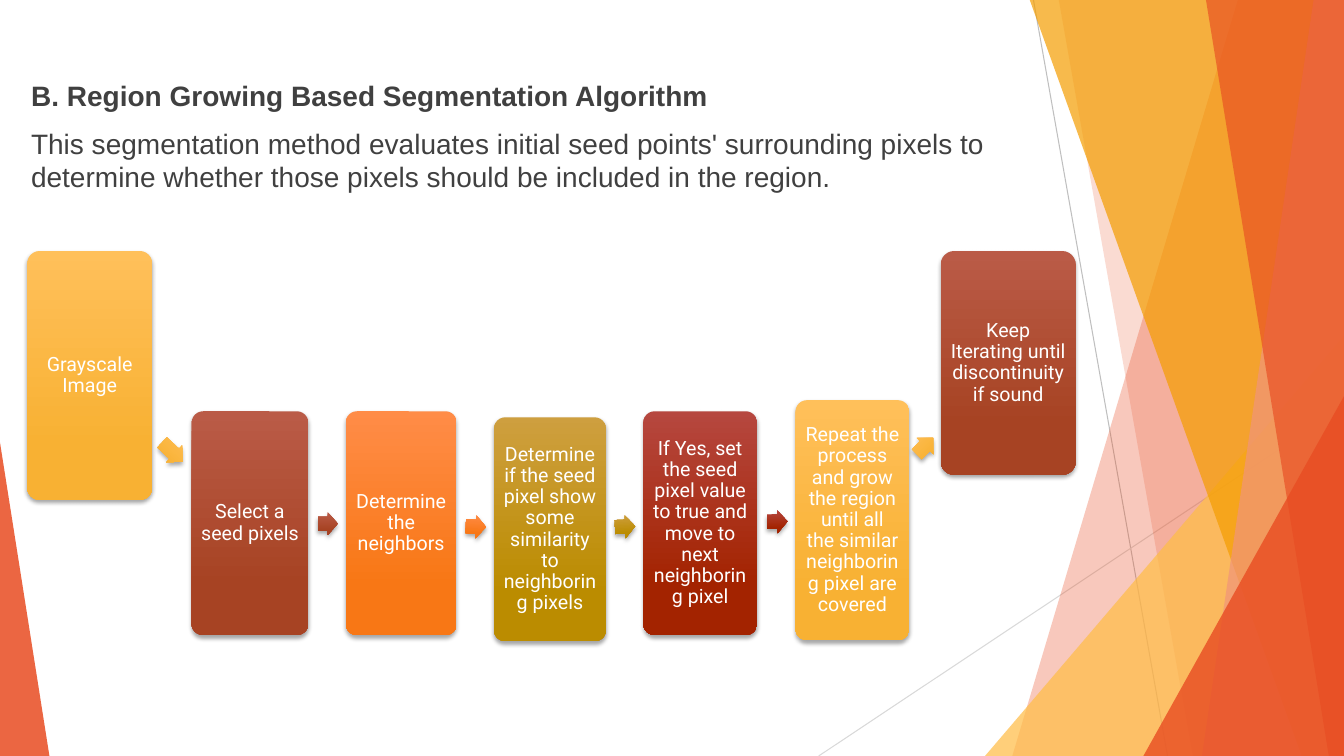
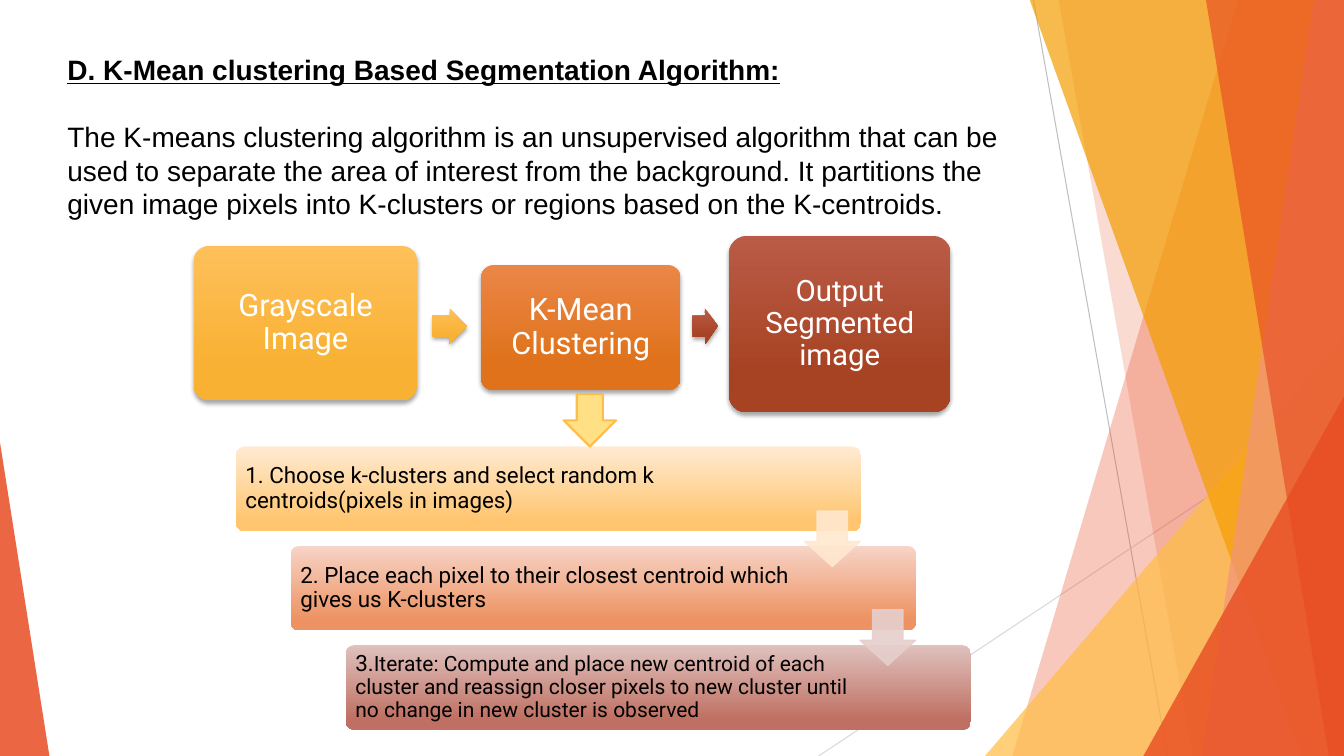
"""Build two slides on image segmentation algorithms."""
from lxml import etree
from pptx import Presentation
from pptx import util as u
from pptx.dml import color
from pptx.enum import shapes, text
from pptx.oxml import ns

Inches, Pt = u.Inches, u.Pt
rgb = color.RGBColor.from_string
SHAPE = shapes.MSO_SHAPE

GRADIENTS = {
    "amber": ("FFC05A", "F8B133"),
    "rust": ("BA5B47", "A74323"),
    "orange": ("FF8C47", "F87715"),
    "gold": ("CE9F3F", "BB8C00"),
    "red": ("B6473F", "A32300"),
    "copper": ("EB8647", "DF721B"),
}


def paint(shape, colours, alpha=100, stop=78, line=None, width=1, shadow=False):
    """Fill a shape with one colour or a vertical gradient, and set its line and shadow."""
    if len(colours) == 1:
        shape.fill.solid()
        shape.fill.fore_color.rgb = rgb(colours[0])
    else:
        shape.fill.gradient()
        shape.fill.gradient_angle = 270
        for gradient_stop, colour, position in zip(shape.fill.gradient_stops, colours, (0, stop)):
            gradient_stop.color.rgb = rgb(colour)
            gradient_stop.position = position / 100
    if line:
        shape.line.color.rgb = rgb(line)
        shape.line.width = Pt(width)
    else:
        shape.line.fill.background()
    properties = shape.element.spPr
    if alpha < 100:
        for node in properties.iter(ns.qn("a:srgbClr")):
            etree.SubElement(node, ns.qn("a:alpha"), val=str(alpha * 1000))
    shape.shadow.inherit = False
    if shadow:
        effects = properties.find(ns.qn("a:effectLst"))
        outer = etree.SubElement(effects, ns.qn("a:outerShdw"), blurRad=str(Pt(3)),
                                 dist=str(Pt(2)), dir="5400000", rotWithShape="0")
        black = etree.SubElement(outer, ns.qn("a:srgbClr"), val="000000")
        etree.SubElement(black, ns.qn("a:alpha"), val="35000")


def write(frame, frame_format, paragraph_format, *paragraphs):
    """Write paragraphs, each a list of (words, font format) runs, into a text frame."""
    for name, value in frame_format.items():
        setattr(frame, name, value)
    for index, runs in enumerate(paragraphs):
        paragraph = frame.add_paragraph() if index else frame.paragraphs[0]
        for name, value in paragraph_format.items():
            setattr(paragraph, name, value)
        for words, font_format in runs:
            run = paragraph.add_run()
            run.text = words
            for name, value in font_format.items():
                if name == "color":
                    run.font.color.rgb = rgb(value)
                else:
                    setattr(run.font, name, value)


presentation = Presentation()
presentation.slide_width = Inches(13.33)
presentation.slide_height = Inches(7.5)
blank = presentation.slide_layouts[6]
region_slide, cluster_slide = [presentation.slides.add_slide(blank) for _ in range(2)]

artwork = []
for start_x, start_y, end_x, end_y, colour in [
    (10.25, 0, 11.58, 7.5, "BFBFBF"),
    (13.33, 4.03, 8.12, 7.5, "D9D9D9"),
]:
    connector = region_slide.shapes.add_connector(
        shapes.MSO_CONNECTOR.STRAIGHT, Inches(start_x), Inches(start_y), Inches(end_x), Inches(end_y))
    connector.line.color.rgb = rgb(colour)
    connector.line.width = Pt(0.75)
    etree.SubElement(connector.element.spPr, ns.qn("a:effectLst"))
    artwork.append(connector)

for outline, colour, alpha in [
    ((12.28, 10.04), "E84C22", 30),
    ((10.5, 11.83), "E84C22", 20),
    ((9.77, 3.33, 3.56, 4.17, 1), "FFBD47", 72),
    ((10.21, 12.91), "F49D00", 70),
    ((13.03, 11.92), "F1947A", 70),
    ((11.96, 13.18), "E84C22", 65),
    ((11.34, 3.93, 1.99, 3.57, 1), "E84C22", 80),
    ((0, 4.39, 0.49, 3.11, 0), "E84C22", 85),
]:
    if len(outline) == 2:
        top_x, bottom_x = outline
        builder = region_slide.shapes.build_freeform(Inches(top_x), Inches(-0.01))
        corners = [(13.33, -0.01), (13.33, 7.5), (bottom_x, 7.5)]
        builder.add_line_segments([(Inches(x), Inches(y)) for x, y in corners])
        shape = builder.convert_to_shape()
    else:
        *box, apex = outline
        shape = region_slide.shapes.add_shape(SHAPE.ISOSCELES_TRIANGLE, *map(Inches, box))
        shape.adjustments[0] = apex
    paint(shape, [colour], alpha)
    artwork.append(shape)

for shape in artwork:
    blank.shapes.element.append(shape.element)

heading = {"name": "Arial", "size": Pt(20), "bold": True, "color": "404040"}
body = {**heading, "bold": False}
textbox = region_slide.shapes.add_textbox(*map(Inches, (0.21, 0.73, 10.23, 6.64)))
write(textbox.text_frame, {"word_wrap": True}, {"space_before": Pt(10)},
      [("B. Region Growing Based Segmentation Algorithm", heading)],
      [("This segmentation method evaluates initial seed points' surrounding pixels to determine "
        "whether those pixels should be included in the region.", body)])

region_cards = [
    ((0.27, 2.49, 1.24, 2.47), "amber", "Grayscale Image", 14),
    ((1.9, 4.08, 1.16, 2.22), "rust", "Select a seed pixels", 14),
    ((3.43, 4.08, 1.1, 2.22), "orange", "Determine the neighbors", 14),
    ((4.9, 4.14, 1.11, 2.22), "gold",
     "Determine if the seed pixel show some similarity to neighboring pixels", 14),
    ((6.38, 4.08, 1.13, 2.22), "red",
     "If Yes, set the seed pixel value to true and move to next neighboring pixel", 14),
    ((7.89, 3.97, 1.13, 2.38), "amber",
     "Repeat the process and grow the region until all the similar neighboring pixel are covered", 14),
    ((9.33, 2.49, 1.34, 2.22), "rust", "Keep Iterating until discontinuity if sound", 14),
]
region_arrows = [
    ((1.57, 4.37, 0.28, 0.23), "amber", 43),
    ((3.15, 5.08, 0.2, 0.23), "rust", 0),
    ((4.62, 5.11, 0.2, 0.23), "orange", 2.3),
    ((6.1, 5.11, 0.2, 0.23), "gold", 357.7),
    ((7.61, 5.06, 0.2, 0.23), "red", 358.8),
    ((9.06, 4.31, 0.23, 0.23), "amber", 314.6),
]
cluster_cards = [
    ((1.92, 2.44, 2.22, 1.53), "amber", "Grayscale Image", 22),
    ((4.77, 2.63, 1.98, 1.24), "copper", "K-Mean Clustering", 22),
    ((7.23, 2.34, 2.2, 1.75), "rust", "Output Segmented image", 21),
]
cluster_arrows = [
    ((4.29, 3.06, 0.34, 0.35), "amber", 0.9),
    ((6.87, 3.06, 0.25, 0.35), "rust", 359),
]
margins = ("margin_left", "margin_top", "margin_right", "margin_bottom")
middle = {"word_wrap": True, "vertical_anchor": text.MSO_ANCHOR.MIDDLE}
for slide, cards, arrows, margin in [
    (region_slide, region_cards, region_arrows, 0.06),
    (cluster_slide, cluster_cards, cluster_arrows, 0.09),
]:
    card_frame = {**middle, **dict.fromkeys(margins, Inches(margin))}
    for box, gradient, words, size in cards:
        card = slide.shapes.add_shape(SHAPE.ROUNDED_RECTANGLE, *map(Inches, box))
        card.adjustments[0] = 0.1
        paint(card, GRADIENTS[gradient], shadow=True)
        write(card.text_frame, card_frame,
              {"alignment": text.PP_ALIGN.CENTER, "line_spacing": 0.9},
              [(words, {"name": "Roboto", "size": Pt(size), "color": "FFFFFF"})])
    for box, gradient, rotation in arrows:
        arrow = slide.shapes.add_shape(SHAPE.RIGHT_ARROW, *map(Inches, box))
        arrow.adjustments[0] = 0.6
        arrow.rotation = rotation
        paint(arrow, GRADIENTS[gradient], shadow=True)

heading = {**heading, "color": "000000", "underline": True}
body = {**body, "color": "000000"}
textbox = cluster_slide.shapes.add_textbox(*map(Inches, (0.57, 0.47, 9.68, 1.78)))
write(textbox.text_frame, {"word_wrap": True}, {"space_before": Pt(24)},
      [("D. K-Mean clustering Based Segmentation Algorithm:", heading)],
      [("The K-means clustering algorithm is an unsupervised algorithm that can be used to separate "
        "the area of interest from the background. It partitions the given image pixels into "
        "K-clusters or regions based on the K-centroids.", body)])

step_font = {"name": "Roboto", "size": Pt(16), "color": "000000"}
steps = [
    (("FFEBD3", "FFC56F"), 0.94,
     [("1. Choose k-clusters and select random k centroids(pixels in images)", step_font)]),
    (("F7D4C7", "ED9262"), 1.17,
     [("2. Place each pixel to their closest centroid which gives us K-clusters", step_font)]),
    (("DFC1BD", "BF7062"), 1.17,
     [("3.", step_font),
      ("Iterate: Compute and place new centroid of each cluster and reassign closer pixels to new "
       "cluster until no change in new cluster is observed", {**step_font, "size": Pt(15)})]),
]
for index, (colours, right_margin, runs) in enumerate(steps):
    step = cluster_slide.shapes.add_shape(
        SHAPE.ROUNDED_RECTANGLE, Inches(2.34 + index * 0.545), Inches(4.43 + index * 0.985),
        Inches(6.2), Inches(0.84))
    step.adjustments[0] = 0.1
    paint(step, colours, stop=88)
    step_frame = {**middle, **dict.fromkeys(margins, Inches(0.07)), "margin_right": Inches(right_margin)}
    write(step.text_frame, step_frame,
          {"alignment": text.PP_ALIGN.LEFT, "line_spacing": 0.9}, runs)

for left, top, size, adjustments, colour, alpha, line, width in [
    (5.59, 3.91, 0.52, (0.5, 0.5), "FFE085", 100, "FFBD47", 1.5),
    (7.98, 5.07, 0.55, (0.55, 0.45), "FFE8CF", 90, "FFE8CF", 1),
    (8.53, 6.05, 0.55, (0.55, 0.45), "E6CFCD", 90, "E6CFCD", 1),
]:
    arrow = cluster_slide.shapes.add_shape(
        SHAPE.DOWN_ARROW, Inches(left), Inches(top), Inches(size), Inches(size))
    for index, adjustment in enumerate(adjustments):
        arrow.adjustments[index] = adjustment
    paint(arrow, [colour], alpha, line=line, width=width)

presentation.save("out.pptx")
